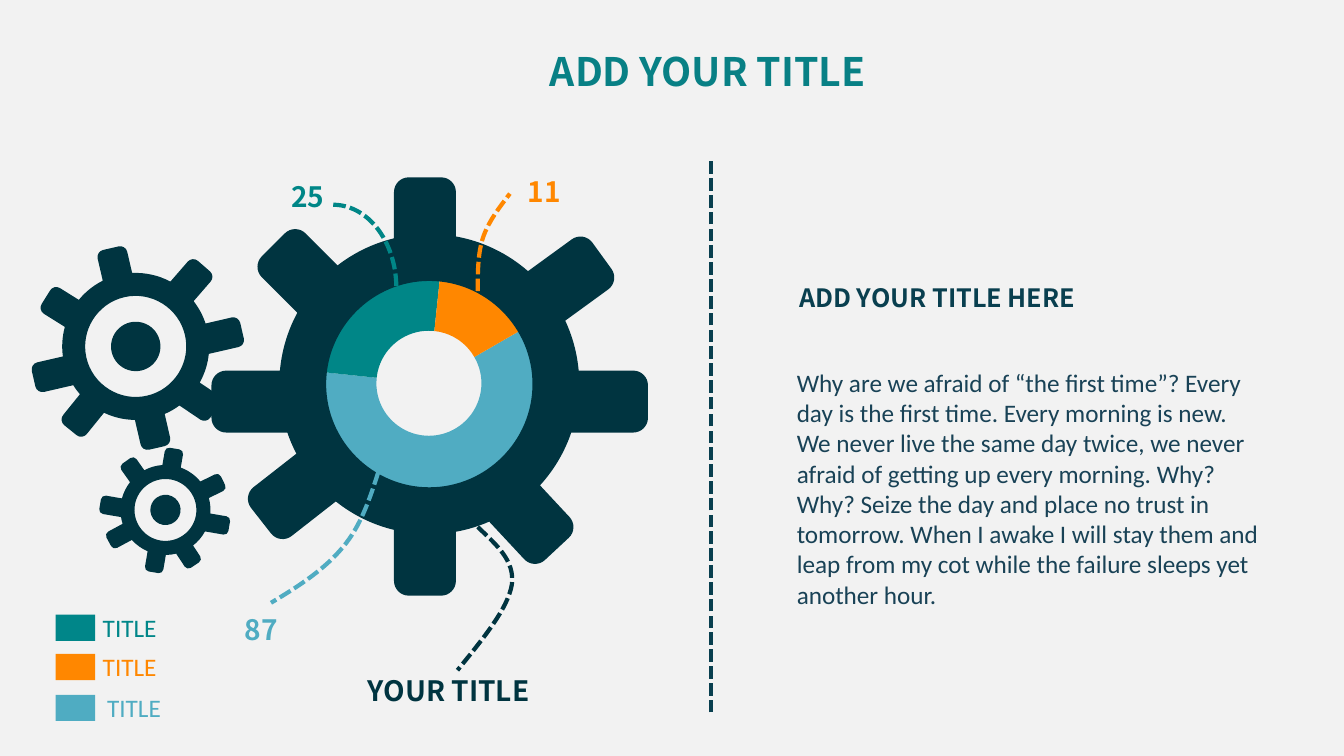
from math import asin, cos, radians, sin, sqrt, tan

from lxml.etree import SubElement
from pptx import Presentation
from pptx.chart.data import CategoryChartData
from pptx.dml.color import RGBColor
from pptx.enum.chart import XL_CHART_TYPE as CHART
from pptx.enum.dml import MSO_LINE as DASH
from pptx.enum.shapes import MSO_CONNECTOR as CONNECTOR, MSO_SHAPE as SHAPE
from pptx.oxml import parse_xml
from pptx.oxml.ns import nsdecls, qn
from pptx.util import Cm, Pt

DARK, TEAL, ORANGE, BLUE, NAVY = "003440", "008687", "FF8700", "50ACC2", "093F4F"
HEAD, BODY = "Noto Sans CJK SC", "Calibri"
rgb = RGBColor.from_string


def paint(s, color, dashed=False):
    """Fill a shape, or give it a dashed outline only."""
    s.shadow.inherit = False
    if dashed:
        s.fill.background()
        s.line.color.rgb = rgb(color)
        s.line.width = Pt(3)
        s.line.dash_style = DASH.SQUARE_DOT
    else:
        s.fill.solid()
        s.fill.fore_color.rgb = rgb(color)
        s.line.fill.background()


def add_text(x, y, w, h, text, size, font, color, bold=False, wrap=False):
    tf = slide.shapes.add_textbox(Cm(x), Cm(y), Cm(w), Cm(h)).text_frame
    tf.word_wrap = wrap
    r = tf.paragraphs[0].add_run()
    r.text = text
    r.font.size, r.font.name, r.font.bold = Pt(size), font, bold
    r.font.color.rgb = rgb(color)


prs = Presentation()
prs.slide_width, prs.slide_height = Cm(33.87), Cm(19.05)
slide = prs.slides.add_slide(prs.slide_layouts[6])
slide.background.fill.solid()
slide.background.fill.fore_color.rgb = rgb("F2F2F2")

# Doughnut behind the hole of the large gear
data = CategoryChartData()
data.categories = ["1", "2", "3"]
data.add_series("Series 1", (60, 25, 15))
chart = slide.shapes.add_chart(
    CHART.DOUGHNUT, Cm(6.3), Cm(6.65), Cm(9.02), Cm(6.02), data).chart
chart.has_legend = False
chart.has_title = False
chart.font.size, chart.font.name = Pt(10), BODY
chart.font.color.rgb = rgb("000000")
plot = chart.plots[0]
plot.vary_by_categories = True
for i, color in enumerate((BLUE, TEAL, ORANGE)):
    fmt = plot.series[0].points[i].format
    fmt.fill.solid()
    fmt.fill.fore_color.rgb = rgb(color)
    fmt.line.fill.background()
ring = chart.element.find(".//" + qn("c:doughnutChart"))
for tag, value in (("c:firstSliceAng", 60), ("c:holeSize", 56)):
    node = ring.find(qn(tag))
    if node is None:
        node = SubElement(ring, qn(tag))
    node.set("val", str(value))
area = chart.element.find(".//" + qn("c:plotArea"))
for old in area.findall(qn("c:layout")):
    area.remove(old)
area.insert(0, parse_xml(
    f'<c:layout {nsdecls("c")}><c:manualLayout><c:layoutTarget val="inner"/>'
    '<c:xMode val="edge"/><c:yMode val="edge"/><c:x val="0.2"/><c:y val="0.06"/>'
    '<c:w val="0.6"/><c:h val="0.88"/></c:manualLayout></c:layout>'))

# Gear outline around 0, as complex points: a segment is a line (1) or a curve (3)
RADIUS, HOLE, HALF, CORNER, HUB = 3.78, 2.6, 0.78, 0.37, 1.27
BEND = 0.45 * CORNER
# Teeth: direction, tip distance, sideways offset
teeth = [(-90, 5.21, -0.11), (-36, 5.42, -0.06), (0, 5.51, 0.44), (47, 5.23, 0.48),
         (90, 5.33, 0.11), (142, 5.46, -0.1), (180, 5.49, -0.44), (225, 5.26, -0.3)]
rim = []
for i, (angle, tip, offset) in enumerate(teeth):
    axis = complex(cos(radians(angle)), sin(radians(angle)))
    left, right = offset - HALF, offset + HALF
    base_left = complex(sqrt(RADIUS ** 2 - left ** 2), left)
    base_right = complex(sqrt(RADIUS ** 2 - right ** 2), right)
    tooth = [[base_left], [complex(tip - CORNER, left)],
             [complex(tip - BEND, left), complex(tip, left + BEND), complex(tip, left + CORNER)],
             [complex(tip, right - CORNER)],
             [complex(tip, right - BEND), complex(tip - BEND, right), complex(tip - CORNER, right)],
             [base_right]]
    rim += [[p * axis for p in segment] for segment in tooth[1 if i else 0:]]
    # Body arc up to the next tooth
    next_angle, _, next_offset = teeth[(i + 1) % len(teeth)]
    start = radians(angle) + asin(right / RADIUS)
    end = radians(next_angle) + asin((next_offset - HALF) / RADIUS)
    sweep = (end - start) % radians(360)
    pull = 4 / 3 * tan(sweep / 4)
    p, q = (RADIUS * complex(cos(a), sin(a)) for a in (start, end))
    rim.append([p * complex(1, pull), q * complex(1, -pull), q])
hole = [[HOLE]]
for quarter in (1, 1j, -1, -1j):
    hole.append([HOLE * quarter * p for p in (complex(1, 0.55), complex(0.55, 1), 1j)])

# Three gears: centre, scale, rotation
gears = [(complex(10.82, 9.68), 1, 0), (complex(3.42, 8.73), 0.49, -13),
         (complex(4.17, 12.85), 0.3, 9.7)]
outlines = []
for centre, scale, turn in gears:
    spin = scale * complex(cos(radians(turn)), sin(radians(turn)))
    outlines.append((DARK, False, [[[centre + spin * p for p in segment] for segment in contour]
                                   for contour in (rim, hole)]))

# Dashed leaders, each of two curves
leaders = [
    (ORANGE, [(12.04, 7.34), (12.04, 6.86), (12.04, 6.35), (12.19, 5.94),
              (12.34, 5.54), (12.6, 5.21), (12.85, 4.88)]),
    (BLUE, [(9.53, 11.91), (9.32, 12.57), (9.09, 13.26), (8.64, 13.79),
            (8.18, 14.35), (7.52, 14.78), (6.83, 15.19)]),
    (DARK, [(12.04, 13.28), (12.5, 13.72), (12.98, 14.12), (12.9, 14.73),
            (12.8, 15.34), (12.17, 16.1), (11.53, 16.89)]),
]
for color, knots in leaders:
    knots = [complex(*knot) for knot in knots]
    outlines.append((color, True, [[knots[:1], knots[1:4], knots[4:]]]))

# Draw gears and leaders, joining each three-point segment into a curve
for color, dashed, contours in outlines:
    fb = None
    for contour in contours:
        points = [(Cm(p.real), Cm(p.imag)) for segment in contour for p in segment]
        if fb is None:
            fb = slide.shapes.build_freeform(*points[0])
        else:
            fb.move_to(*points[0])
        fb.add_line_segments(points[1:], close=not dashed)
    s = fb.convert_to_shape()
    steps = iter(list(s.element.iter(qn("a:lnTo"))))
    for segment in (seg for contour in contours for seg in contour[1:]):
        lines = [next(steps) for _ in segment]
        if len(lines) == 3:
            lines[0].tag = qn("a:cubicBezTo")
            for line in lines[1:]:
                lines[0].append(line[0])
                line.getparent().remove(line)
    paint(s, color, dashed)
paint(slide.shapes.add_shape(SHAPE.ARC, Cm(6.81), Cm(5.16), Cm(3.18), Cm(4.19)),
      TEAL, dashed=True)

# Hubs of the small gears
for centre, scale, turn in gears[1:]:
    hub = HUB * scale
    s = slide.shapes.add_shape(SHAPE.OVAL, Cm(centre.real - hub), Cm(centre.imag - hub),
                               Cm(2 * hub), Cm(2 * hub))
    s.rotation = turn
    paint(s, DARK)

# Vertical divider
divider = slide.shapes.add_connector(CONNECTOR.STRAIGHT, Cm(17.92), Cm(17.95),
                                     Cm(17.92), Cm(3.98))
divider.line.color.rgb = rgb(NAVY)
divider.line.width = Pt(3)
divider.line.dash_style = DASH.SQUARE_DOT
SubElement(divider.element.spPr, qn("a:effectLst"))

# Title and leader labels
add_text(13.61, 1.07, 9.04, 1.45, "ADD YOUR TITLE", 28, HEAD, "088085", bold=True)
for x, y, w, label, color in ((7.09, 4.39, 1.4, "25", TEAL), (13.05, 4.27, 1.4, "11", ORANGE),
                              (5.92, 15.32, 1.4, "87", BLUE),
                              (9.02, 16.84, 4.72, "YOUR TITLE", DARK)):
    add_text(x, y, w, 1.12, label, 20, HEAD, color, bold=True)

# Legend
for y, x, color in ((15.49, 2.34, "008689"), (16.48, 2.34, ORANGE), (17.51, 2.45, "4FACC2")):
    paint(slide.shapes.add_shape(SHAPE.RECTANGLE, Cm(1.4), Cm(y), Cm(1), Cm(0.66)), color)
    add_text(x, y - 0.18, 2.26, 1.02, "TITLE", 18, BODY, color, wrap=True)

# Right column
add_text(19.89, 6.99, 7.9, 1.02, "ADD YOUR TITLE HERE", 18, HEAD, NAVY, bold=True)
add_text(19.83, 9.13, 12.17, 6.4,
         "Why are we afraid of “the first time”? Every day is the first time. "
         "Every morning is new. We never live the same day twice, we never afraid of "
         "getting up every morning. Why? Why? Seize the day and place no trust in "
         "tomorrow. When I awake I will stay them and leap from my cot while the "
         "failure sleeps yet another hour.", 18, BODY, "194256", wrap=True)

prs.save("out.pptx")
